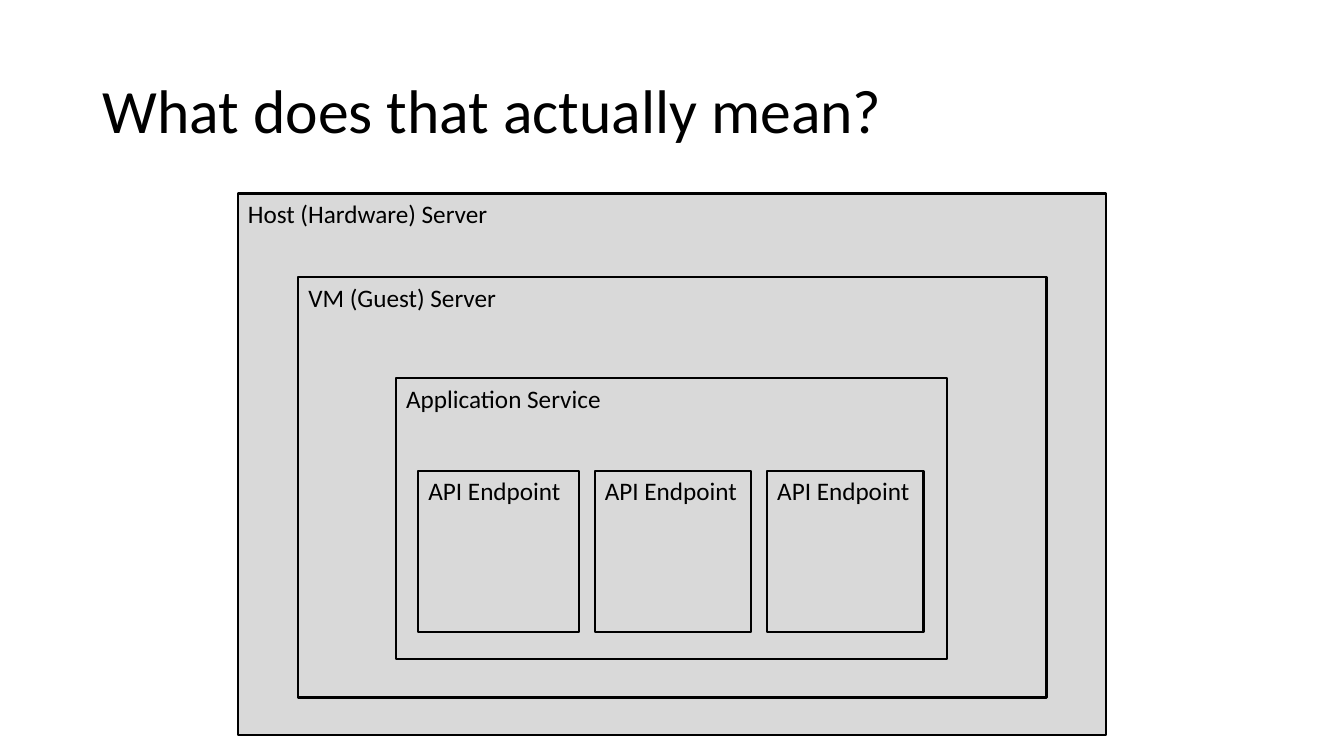
from dataclasses import dataclass

import pptx
import pptx.dml.color
import pptx.enum.shapes
import pptx.enum.text
import pptx.util

Inches = pptx.util.Inches
Pt = pptx.util.Pt
RGB = pptx.dml.color.RGBColor
MSO_ANCHOR = pptx.enum.text.MSO_ANCHOR
PP_ALIGN = pptx.enum.text.PP_ALIGN


@dataclass(frozen=True)
class Theme:
    font: str = "Calibri"
    ink: str = "000000"
    fill: str = "D9D9D9"
    title_size: float = 44
    label_size: float = 18
    line_width: float = 1.5


class SlideBuilder:
    def __init__(self, prs, theme):
        self.theme = theme
        self.s = prs.slides.add_slide(prs.slide_layouts[5])  # Title Only

    def set_text(self, tf, text, size, anchor, **paragraph_format):
        tf.word_wrap = True
        tf.vertical_anchor = anchor
        p = tf.paragraphs[0]
        for name, value in paragraph_format.items():
            setattr(p, name, value)
        r = p.add_run()
        r.text = text
        font_format = {"name": self.theme.font, "size": Pt(size)}
        for name, value in font_format.items():
            setattr(r.font, name, value)
        r.font.color.rgb = RGB.from_string(self.theme.ink)

    def title(self, text, left, top, width, height):
        sp = self.s.shapes.title
        place = {"left": left, "top": top, "width": width, "height": height}
        for name, value in place.items():
            setattr(sp, name, Inches(value))
        self.set_text(sp.text_frame, text, self.theme.title_size, MSO_ANCHOR.MIDDLE,
                      alignment=PP_ALIGN.LEFT, line_spacing=0.9)

    def box(self, text, left, top, width, height):
        """Add a filled rectangle labelled in its top left corner."""
        sp = self.s.shapes.add_shape(
            pptx.enum.shapes.MSO_SHAPE.RECTANGLE,
            Inches(left), Inches(top), Inches(width), Inches(height))
        sp.shadow.inherit = False
        sp.fill.solid()
        sp.fill.fore_color.rgb = RGB.from_string(self.theme.fill)
        sp.line.color.rgb = RGB.from_string(self.theme.ink)
        sp.line.width = Pt(self.theme.line_width)
        self.set_text(sp.text_frame, text, self.theme.label_size, MSO_ANCHOR.TOP,
                      alignment=PP_ALIGN.LEFT)


LAYERS = [
    ("Host (Hardware) Server", 2.36, 1.92, 8.61, 5.37),
    ("VM (Guest) Server", 2.96, 2.75, 7.42, 4.17),
    ("Application Service", 3.93, 3.75, 5.46, 2.79),
]
ENDPOINT_LEFT, ENDPOINT_TOP, ENDPOINT_HEIGHT = 4.15, 4.67, 1.6
ENDPOINT_WIDTHS = [1.59, 1.55, 1.55]
ENDPOINT_GAP = 0.16


def main():
    prs = pptx.Presentation()
    prs.slide_width, prs.slide_height = Inches(13.33), Inches(7.5)
    slide = SlideBuilder(prs, Theme())
    slide.title("What does that actually mean?", 0.92, 0.4, 11.5, 1.45)
    for layer in LAYERS:
        slide.box(*layer)
    left = ENDPOINT_LEFT
    for width in ENDPOINT_WIDTHS:
        slide.box("API Endpoint", left, ENDPOINT_TOP, width, ENDPOINT_HEIGHT)
        left += width + ENDPOINT_GAP
    prs.save("out.pptx")


if __name__ == "__main__":
    main()
